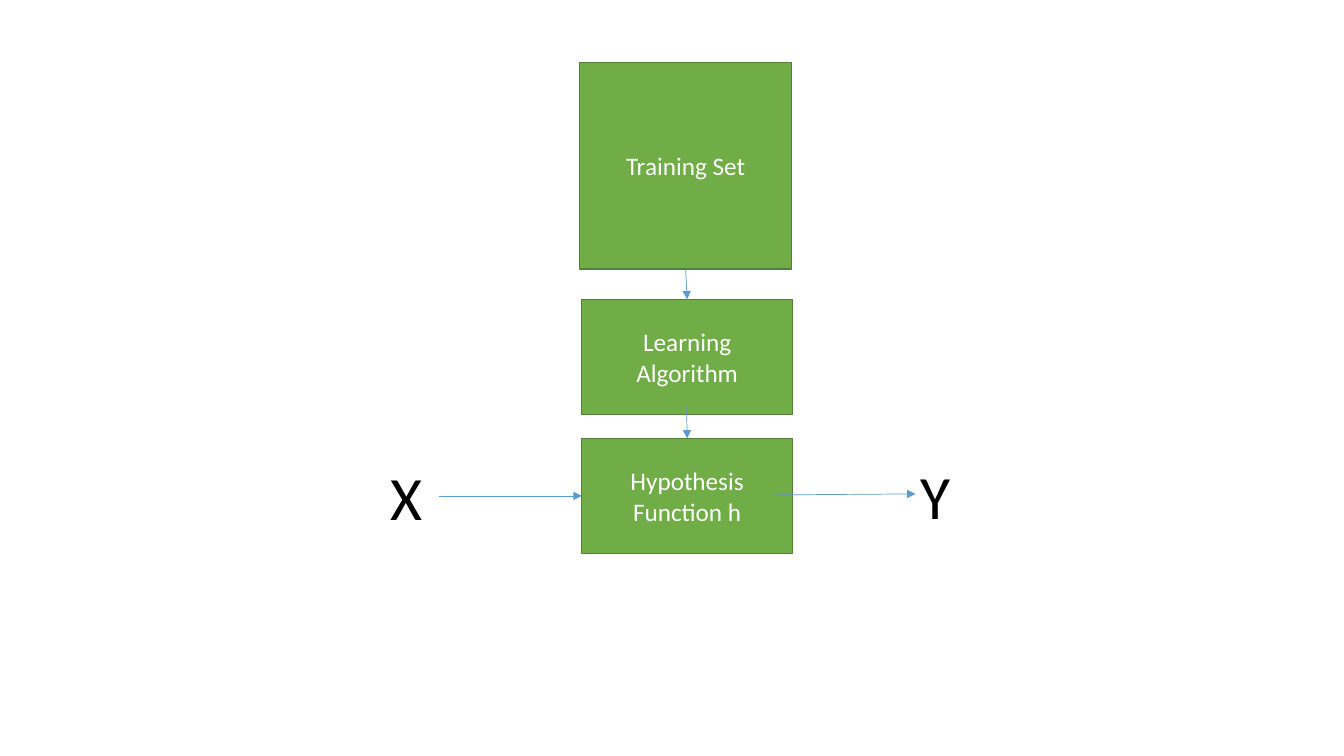
from lxml import etree
from pptx import Presentation
from pptx.dml.color import RGBColor
from pptx.enum.shapes import MSO_CONNECTOR, MSO_SHAPE
from pptx.enum.text import MSO_ANCHOR, MSO_AUTO_SIZE, PP_ALIGN
from pptx.oxml.ns import qn
from pptx.util import Inches, Pt

STRAIGHT = MSO_CONNECTOR.STRAIGHT
RECTANGLE = MSO_SHAPE.RECTANGLE
MIDDLE = MSO_ANCHOR.MIDDLE
GROW = MSO_AUTO_SIZE.SHAPE_TO_FIT_TEXT
CENTER, LEFT = PP_ALIGN.CENTER, PP_ALIGN.LEFT
TOP_SIDE, LEFT_SIDE, BOTTOM_SIDE, RIGHT_SIDE = range(4)

FONT = "Calibri"
GREEN, DARK_GREEN, BLUE = "70AD47", "538035", "5B9BD5"
WHITE, BLACK = "FFFFFF", "000000"


def color(hex_string):
    return RGBColor.from_string(hex_string)


def write_text(shape, text, size=18, text_color=WHITE, align=CENTER):
    """Write one paragraph per line of text."""
    frame = shape.text_frame
    frame.word_wrap = True
    frame.text = text
    for paragraph in frame.paragraphs:
        paragraph.alignment = align
        font = paragraph.runs[0].font
        font.name = FONT
        font.size = Pt(size)
        font.color.rgb = color(text_color)


def add_step(slide, text, left, top, width, height):
    shape = slide.shapes.add_shape(
        RECTANGLE, Inches(left), Inches(top), Inches(width), Inches(height))
    shape.shadow.inherit = False
    shape.fill.solid()
    shape.fill.fore_color.rgb = color(GREEN)
    shape.line.color.rgb = color(DARK_GREEN)
    shape.line.width = Pt(1)
    shape.text_frame.vertical_anchor = MIDDLE
    write_text(shape, text)
    return shape


def add_variable(slide, text, left, top, width):
    shape = slide.shapes.add_textbox(
        Inches(left), Inches(top), Inches(width), Inches(0.84))
    write_text(shape, text, size=44, text_color=BLACK, align=LEFT)
    shape.text_frame.auto_size = GROW
    return shape


def add_arrow(slide, start, end, source=None, target=None):
    """Draw an arrow; source and target are (shape, side) pairs to join."""
    arrow = slide.shapes.add_connector(
        STRAIGHT, *(Inches(value) for value in start + end))
    if source:
        arrow.begin_connect(*source)
    if target:
        arrow.end_connect(*target)
    arrow.line.color.rgb = color(BLUE)
    arrow.line.width = Pt(0.5)
    properties = arrow.line._get_or_add_ln()
    etree.SubElement(properties, qn("a:tailEnd"), type="triangle")
    etree.SubElement(arrow._element.spPr, qn("a:effectLst"))


def main():
    presentation = Presentation()
    presentation.slide_width = Inches(13.33)
    presentation.slide_height = Inches(7.5)
    slide = presentation.slides.add_slide(presentation.slide_layouts[6])

    # Steps from data to hypothesis
    training = add_step(slide, "Training Set", 5.75, 0.62, 2.1, 2.05)
    learning = add_step(slide, "Learning Algorithm", 5.77, 2.97, 2.09, 1.14)
    hypothesis = add_step(slide, "Hypothesis\nFunction h", 5.77, 4.35, 2.09, 1.14)

    # Input and output
    input_x = add_variable(slide, "X", 3.77, 4.5, 0.58)
    add_variable(slide, "Y", 9.03, 4.49, 1.29)

    # Arrows
    add_arrow(slide, (4.35, 4.93), (5.77, 4.91),
              (input_x, RIGHT_SIDE), (hypothesis, LEFT_SIDE))
    add_arrow(slide, (7.67, 4.91), (9.08, 4.9))
    add_arrow(slide, (6.8, 2.67), (6.81, 2.97),
              (training, BOTTOM_SIDE), (learning, TOP_SIDE))
    add_arrow(slide, (6.81, 4.04), (6.82, 4.35), target=(hypothesis, TOP_SIDE))

    presentation.save("out.pptx")


if __name__ == "__main__":
    main()
